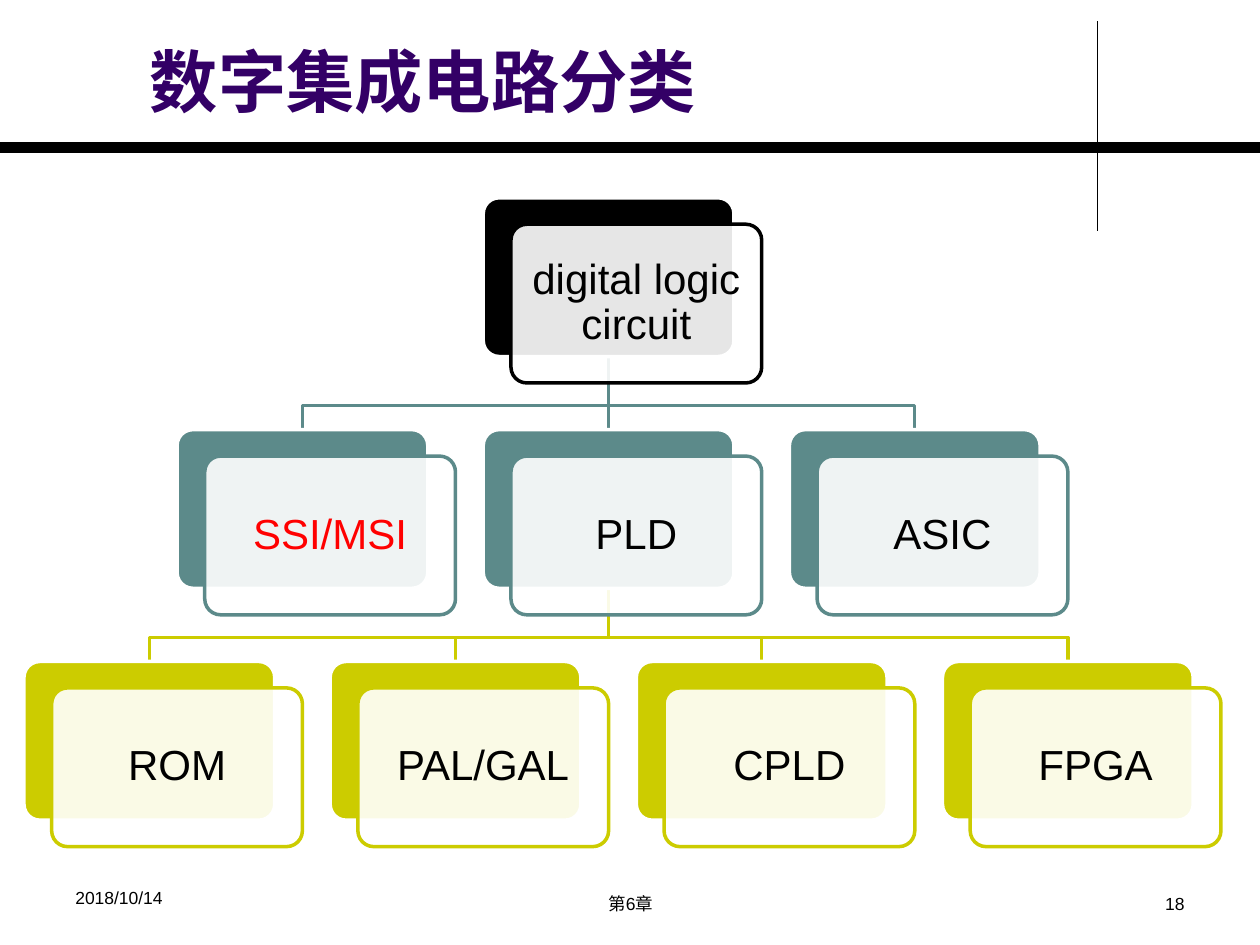
from pptx import Presentation
from pptx.dml.color import RGBColor
from pptx.enum.shapes import MSO_CONNECTOR as Conn, MSO_SHAPE as Kind
from pptx.enum.text import MSO_ANCHOR as Anchor, MSO_AUTO_SIZE as Fit, PP_ALIGN as Align
from pptx.oxml.ns import qn
from pptx.util import Inches, Pt
from lxml.etree import SubElement

TITLE = "数字集成电路分类"
ROWS = [
    ("000000", ["digital logic circuit"]),
    ("5C8A8A", ["SSI/MSI", "PLD", "ASIC"]),
    ("CCCC00", ["ROM", "PAL/GAL", "CPLD", "FPGA"]),
]
ACCENT = {"SSI/MSI": "FF0000"}
FOOT = [
    ("2018/10/14", 0.5, 6.99, 2.33, Align.LEFT),
    ("第6章", 3.42, 7.04, 3.17, Align.CENTER),
    ("18", 7.17, 7.04, 2.33, Align.RIGHT),
]
RULES = [(8.71, 0.17, 8.71, 1.83, 0.75), (0, 1.17, 10, 1.17, 6)]

MID, TOP = 4.83, 1.57
STEP, DROP = 2.43, 1.84
WIDE, HIGH = 1.99, 1.26
SHIFT = (0.22, 0.21)
BUS = 0.39


def color(text):
    return RGBColor.from_string(text)


def stroke(item, tone, size):
    item.line.color.rgb = color(tone)
    item.line.width = Pt(size)


def write(frame, text, size, tone, align, bold=False):
    frame.text = text
    frame.word_wrap = True
    par = frame.paragraphs[0]
    par.alignment = align
    font = par.font
    font.name, font.size, font.bold = "Arial", Pt(size), bold
    font.color.rgb = color(tone)
    return par


def rule(x1, y1, x2, y2, tone, size):
    line = shapes.add_connector(Conn.STRAIGHT, *map(Inches, (x1, y1, x2, y2)))
    stroke(line, tone, size)
    SubElement(line._element.spPr, qn("a:effectLst"))


def link(x, y, tone):
    end = y + DROP - HIGH
    if x == MID:
        rule(x, y, x, end, tone, 2)
        return
    pen = shapes.build_freeform(Inches(MID), Inches(y))
    turns = [(MID, y + BUS), (x, y + BUS), (x, end)]
    pen.add_line_segments([(Inches(a), Inches(b)) for a, b in turns], close=False)
    line = pen.convert_to_shape()
    line.fill.background()
    line.shadow.inherit = False
    stroke(line, tone, 2)


def panel(x, y, fill, edge):
    box = shapes.add_shape(Kind.ROUNDED_RECTANGLE, *map(Inches, (x, y, WIDE, HIGH)))
    box.adjustments[0] = 0.1
    box.shadow.inherit = False
    box.fill.solid()
    box.fill.fore_color.rgb = color(fill)
    stroke(box, edge, 2)
    return box


def card(x, y, text, tone):
    left = x - WIDE / 2
    panel(left, y, tone, "FFFFFF")
    front = panel(left + SHIFT[0], y + SHIFT[1], "FFFFFF", tone)
    hue = front._element.spPr.find(qn("a:solidFill"))[0]
    SubElement(hue, qn("a:alpha")).set("val", "90000")
    frame = front.text_frame
    frame.margin_left = frame.margin_right = Inches(0.12)
    frame.vertical_anchor = Anchor.MIDDLE
    par = write(frame, text, 24, ACCENT.get(text, "000000"), Align.CENTER)
    par.line_spacing = 0.9


deck = Presentation()
deck.slide_width, deck.slide_height = Inches(10), Inches(7.5)
slide = deck.slides.add_slide(deck.slide_layouts[5])
shapes = slide.shapes

for *ends, size in RULES:
    rule(*ends, "000000", size)

head = shapes.title
head.left, head.top, head.width, head.height = map(Inches, (1.09, 0.2, 7.55, 0.81))
head.text_frame.auto_size = Fit.NONE
head.text_frame.vertical_anchor = Anchor.BOTTOM
write(head.text_frame, TITLE, 39, "330066", Align.LEFT, True)

nodes = [
    (row, MID + (col - (len(names) - 1) / 2) * STEP, TOP + row * DROP, name, tone)
    for row, (tone, names) in enumerate(ROWS)
    for col, name in enumerate(names)
]
for row, x, y, name, tone in nodes:
    if row:
        link(x, y - DROP + HIGH, tone)
for row, x, y, name, tone in nodes:
    card(x, y, name, tone)

for text, x, y, wide, align in FOOT:
    note = shapes.add_textbox(*map(Inches, (x, y, wide, 0.3)))
    write(note.text_frame, text, 10, "000000", align)

deck.save("out.pptx")
